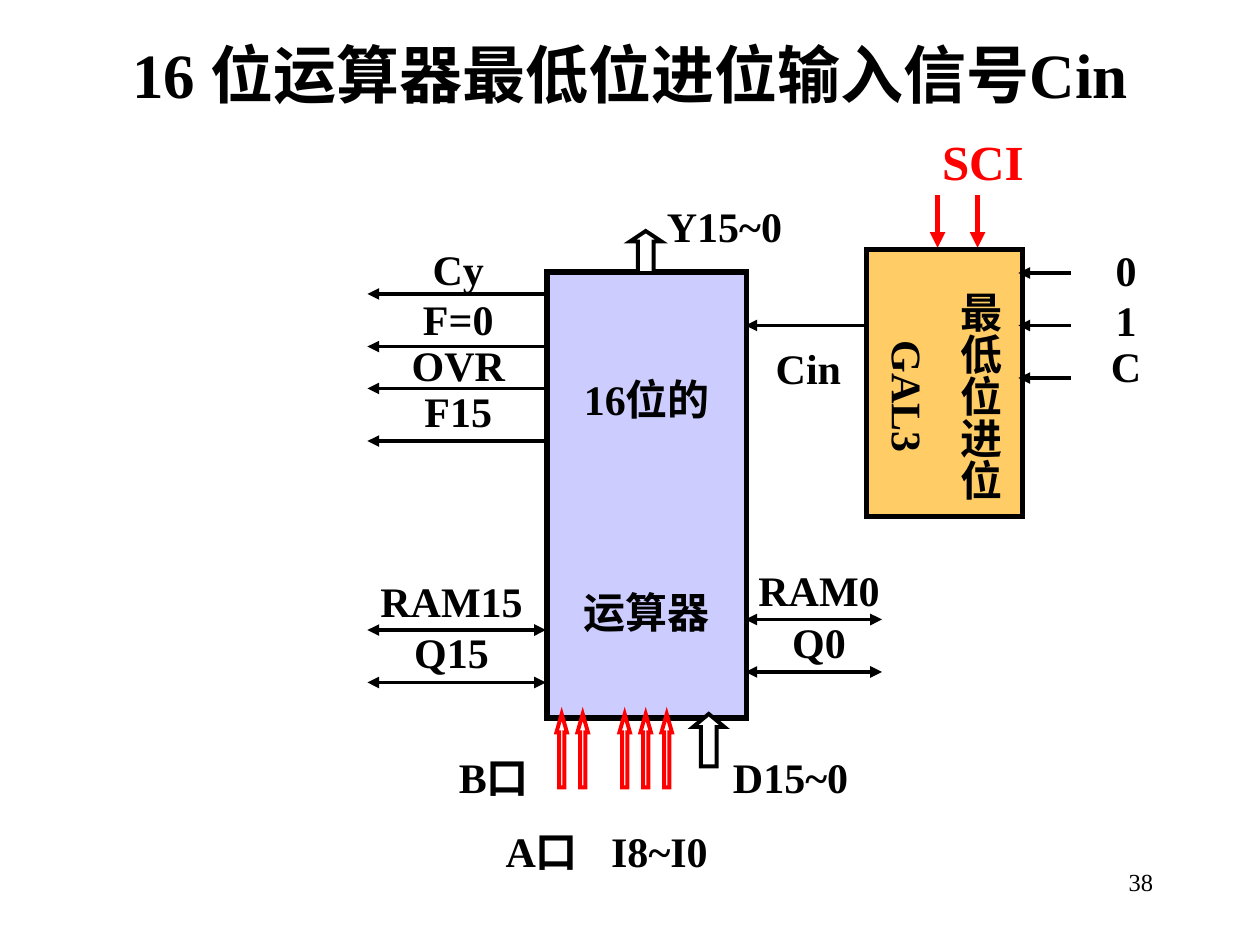
from collections import namedtuple
from lxml.etree import SubElement
from pptx import Presentation
from pptx.dml.color import RGBColor
from pptx.enum.shapes import MSO_CONNECTOR, MSO_SHAPE
from pptx.enum.text import MSO_ANCHOR, PP_ALIGN
from pptx.oxml.ns import qn
from pptx.util import Inches, Pt

Box = namedtuple("Box", "x y w h")
CELL = 1 / 12  # grid step in inches: the slide is 120 columns by 90 rows


class Theme:
    font = "Times New Roman"
    black, red, white = (RGBColor.from_string(c) for c in ("000000", "FF0000", "FFFFFF"))
    lilac, amber = (RGBColor.from_string(c) for c in ("CCCCFF", "FFCC66"))
    title, signal, label, page = Pt(36), Pt(28), Pt(24), Pt(14)
    thin, thick = Pt(2.25), Pt(3)
    gap = Pt(12)


def grid(n):
    return Inches(n * CELL)


def place(box):
    return [grid(n) for n in box]


def write(frame, lines, size=Theme.label, color=Theme.black, bold=True,
          align=PP_ALIGN.CENTER, gap=Theme.gap, tight=None):
    """Fill a frame; later lines get the gap and the tight line spacing."""
    for i, line in enumerate(lines):
        para = frame.add_paragraph() if i else frame.paragraphs[0]
        para.text = line
        para.alignment = align
        font = para.font
        font.name, font.size, font.bold = Theme.font, size, bold
        font.color.rgb = color
        if i:
            para.space_before = gap
            if tight:
                para.line_spacing = tight


def label(slide, box, *lines, **style):
    frame = slide.shapes.add_textbox(*place(box)).text_frame
    frame.word_wrap = False
    frame.vertical_anchor = MSO_ANCHOR.MIDDLE
    write(frame, lines, **style)


def shape(slide, kind, box, fill, color=Theme.black, width=Theme.thin):
    item = slide.shapes.add_shape(kind, *place(box))
    item.shadow.inherit = False
    item.fill.solid()
    item.fill.fore_color.rgb = fill
    item.line.color.rgb = color
    item.line.width = width
    SubElement(item.line._get_or_add_ln(), qn("a:miter")).set("lim", "800000")
    return item


def block(slide, box, fill, drop):
    """Framed box whose centred text is pushed down by a top margin."""
    item = shape(slide, MSO_SHAPE.RECTANGLE, box, fill, width=Theme.thick)
    frame = item.text_frame
    frame.word_wrap = False
    frame.vertical_anchor = MSO_ANCHOR.MIDDLE
    frame.margin_top = grid(drop)
    return frame


def bus(slide, box, head, color=Theme.black):
    """Hollow arrow pointing up."""
    item = shape(slide, MSO_SHAPE.UP_ARROW, box, Theme.white, color)
    item.adjustments[1] = head


def arrow(slide, start, end, both=False, color=Theme.black, width=Theme.thin):
    wire = slide.shapes.add_connector(
        MSO_CONNECTOR.STRAIGHT, *place(start), *place(end))
    wire.line.color.rgb = color
    wire.line.width = width
    props = wire.line._get_or_add_ln()
    for tag in ("a:headEnd", "a:tailEnd") if both else ("a:tailEnd",):
        SubElement(props, qn(tag)).set("type", "triangle")
    SubElement(wire._element.spPr, qn("a:effectLst"))


def heading(slide, box):
    title = slide.shapes.title
    title.left, title.top, title.width, title.height = place(box)
    title.text_frame.vertical_anchor = MSO_ANCHOR.MIDDLE
    write(title.text_frame, ["16 位运算器最低位进位输入信号Cin"], Theme.title)


def adder(slide, box):
    frame = block(slide, box, Theme.lilac, 2.6)
    write(frame, ["16位的", "运算器"], gap=Pt(93))


def flags(slide, box):
    for row in (0, 5, 9, 14):
        arrow(slide, (box.x + box.w, box.y + row), (box.x, box.y + row))
    label(slide, Box(box.x + 3, box.y - 6, 11.3, 20.4),
          "Cy", "F=0", "OVR", "F15", tight=0.5)


def shifts(slide, box, wide, *names):
    """Two-way lines with a label of the given width above each."""
    for row in (0, 5):
        arrow(slide, (box.x, box.y + row), (box.x + box.w, box.y + row), both=True)
    label(slide, Box(box.x, box.y - 6, wide, 11), *names, tight=0.55)


def carry(slide, box):
    """Carry selector with its control inputs, sources and output."""
    for col in (6.8, 10.6):
        arrow(slide, (box.x + col, box.y - 5.2), (box.x + col, box.y - 0.2),
              color=Theme.red, width=Theme.thick)
    frame = block(slide, box, Theme.amber, 4)
    frame._txBody.bodyPr.set("vert", "eaVert")
    write(frame, ["最低位进位", "GAL3"])
    label(slide, Box(box.x + 6, box.y - 11.9, 10.2, 6.8), "SCI",
          size=Theme.signal, color=Theme.red)
    side = box.x + box.w
    for row in (2.2, 7.2, 12.2):
        arrow(slide, (side + 4.6, box.y + row), (side - 0.4, box.y + row))
    label(slide, Box(side + 7.2, box.y - 1.5, 5.3, 15.6), "0", "1", "C", tight=0.5)
    arrow(slide, (box.x, box.y + 7.2), (box.x - 11.5, box.y + 7.2))
    label(slide, Box(box.x - 9.8, box.y + 8.2, 8.6, 6), "Cin")


def output(slide, box):
    bus(slide, box, 0.333)
    label(slide, Box(box.x + 2.3, box.y - 3.5, 13.4, 6), "Y15~0")


def inputs(slide, box):
    bus(slide, Box(box.x + 13, box.y, 3, 5), 0.417)
    for col in (0, 2, 6, 8, 10):
        bus(slide, Box(box.x + col, box.y, 1, box.h), 1.75, Theme.red)
    for name, col, row, wide in (("D15~0", 15.6, 3, 13.4), ("B口", -10.5, 3, 9.1),
                                 ("A口", -6.1, 10, 9.4), ("I8~I0", 4, 10, 11.6)):
        label(slide, Box(box.x + col, box.y + row, wide, 6), name)


def number(slide, box):
    frame = slide.shapes.add_textbox(*place(box)).text_frame
    frame.word_wrap = True
    write(frame, ["38"], Theme.page, bold=False, align=PP_ALIGN.RIGHT)


def main():
    deck = Presentation()
    deck.slide_width, deck.slide_height = Inches(10), Inches(7.5)
    slide = deck.slides.add_slide(deck.slide_layouts[5])
    heading(slide, Box(9, 3, 102, 8))
    adder(slide, Box(52.1, 25.9, 19, 42.5))
    flags(slide, Box(35, 28, 17, 14))
    shifts(slide, Box(35, 60, 17, 5), 16, "RAM15", "Q15")
    shifts(slide, Box(71, 59, 13, 5), 14, "RAM0", "Q0")
    carry(slide, Box(82.5, 23.8, 14.9, 25.4))
    output(slide, Box(60, 22, 3, 4))
    inputs(slide, Box(53, 68, 16, 7))
    number(slide, Box(86, 82, 25, 6))
    deck.save("out.pptx")


if __name__ == "__main__":
    main()
